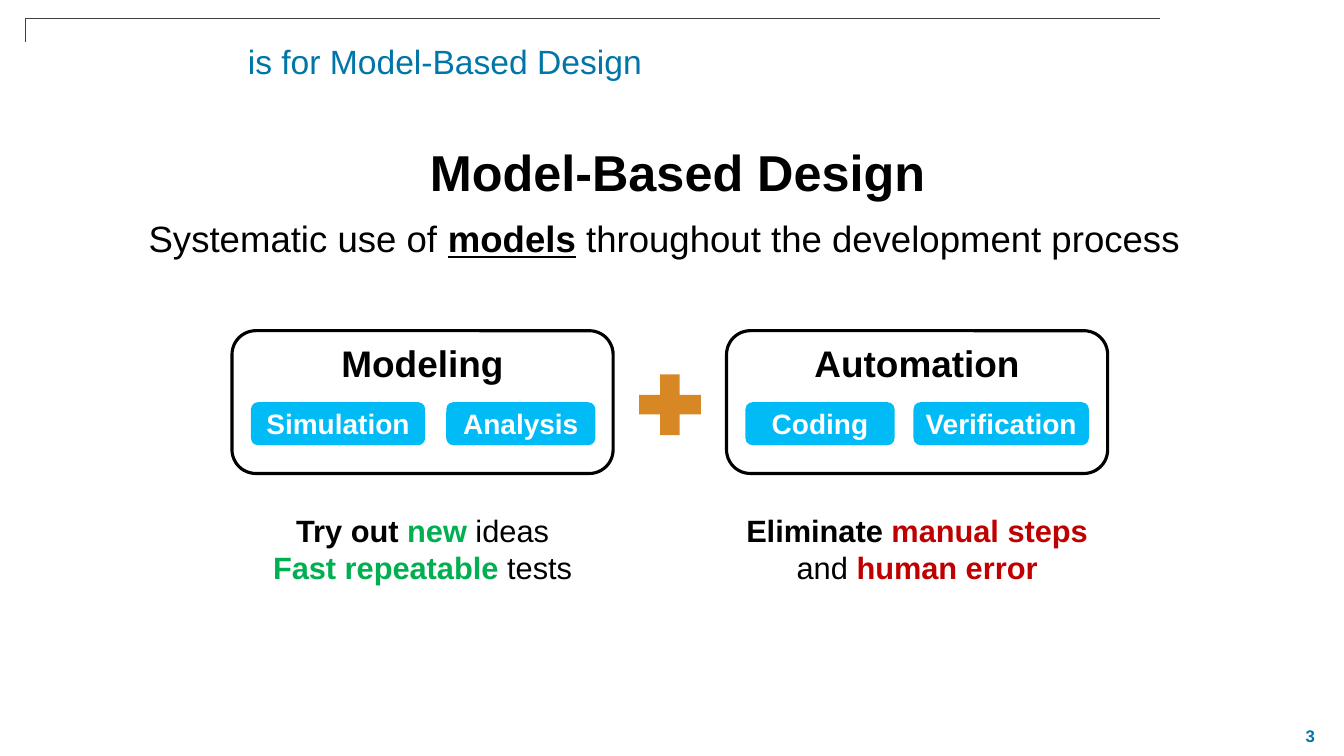
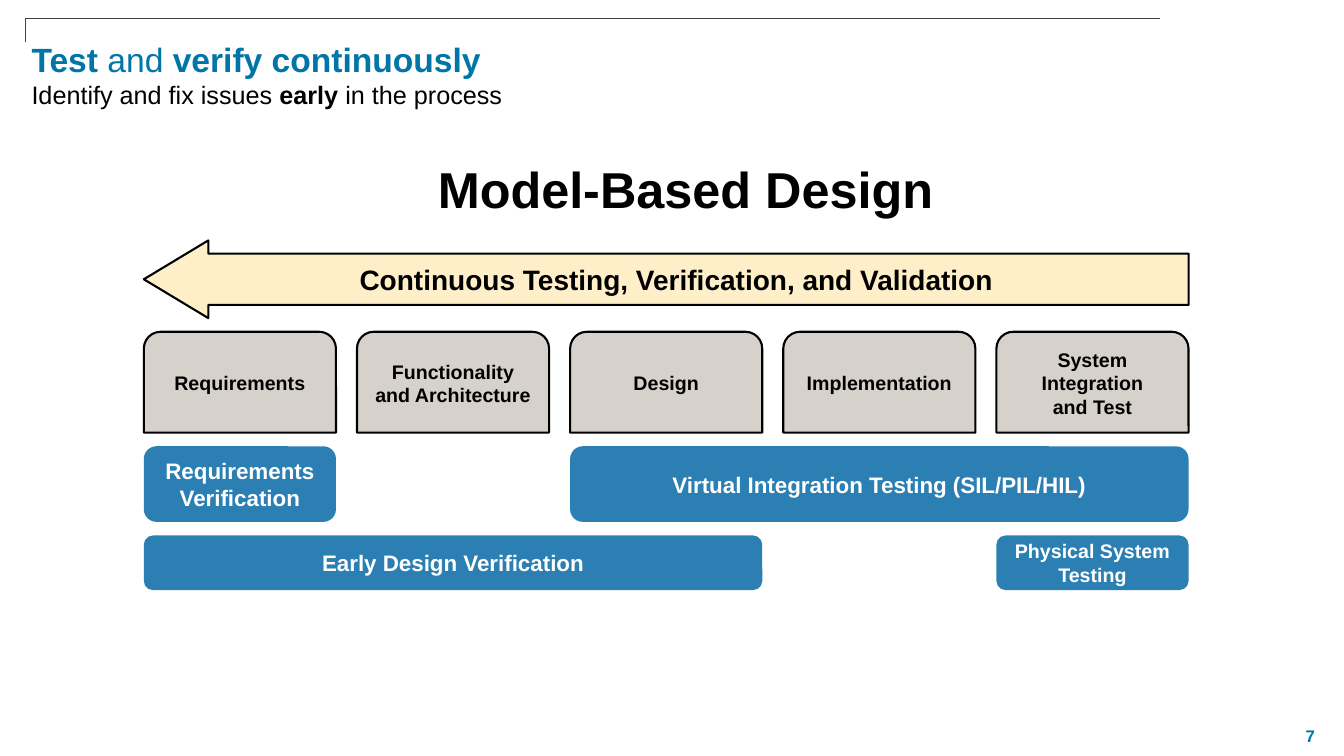
from pptx import Presentation
from pptx import util as u
from pptx.dml.color import RGBColor
from pptx.enum import shapes, text

PX = 9525  # EMU per px, 96 px to the inch
FONT = "Arial"
COLORS = {
    "title": "0076A8", "rule": "404040", "black": "000000", "white": "FFFFFF",
    "tag": "00BBF6", "plus": "D78824", "good": "00B050", "bad": "C00000",
    "stage": "D6D2CB", "arrow": "FFEFC9", "bar": "2C7FB3",
}
SHAPE = shapes.MSO_SHAPE


def write(sp, *paragraphs, size=18, color="black", bold=False, align="CENTER",
          anchor="TOP", margins=(10, 5, 10, 5)):
    """Fill sp with paragraphs: a string, or a list of (text, overrides) runs."""
    tf = sp.text_frame
    tf.word_wrap = True
    tf.auto_size = text.MSO_AUTO_SIZE.NONE
    tf.vertical_anchor = getattr(text.MSO_ANCHOR, anchor)
    tf.margin_left, tf.margin_top, tf.margin_right, tf.margin_bottom = (m * PX for m in margins)
    for i, runs in enumerate(paragraphs):
        p = tf.add_paragraph() if i else tf.paragraphs[0]
        p.alignment = getattr(text.PP_ALIGN, align)
        for words, fmt in [(runs, {})] if isinstance(runs, str) else runs:
            r = p.add_run()
            r.text = words
            r.font.name = FONT
            r.font.size = u.Pt(fmt.get("size", size))
            r.font.bold = fmt.get("bold", bold)
            r.font.underline = fmt.get("underline")
            r.font.color.rgb = RGBColor.from_string(COLORS[fmt.get("color", color)])


def add(s, kind, x, y, w, h, fill=None, line=0):
    """Add a preset shape, or a text box when kind is None."""
    box = [v * PX for v in (x, y, w, h)]
    if kind is None:
        return s.shapes.add_textbox(*box)
    sp = s.shapes.add_shape(kind, *box)
    sp.shadow.inherit = False
    if fill:
        sp.fill.solid()
        sp.fill.fore_color.rgb = RGBColor.from_string(COLORS[fill])
    else:
        sp.fill.background()
    if line:
        sp.line.width = u.Pt(line)
        sp.line.color.rgb = RGBColor.from_string(COLORS["black"])
    else:
        sp.line.fill.background()
    return sp


prs = Presentation()
prs.slide_width, prs.slide_height = 1280 * PX, 720 * PX
B = {"bold": True}

# Shared frame: title, corner rule, page number, heading
pages = [
    ("3", (226, 34, 880, 49), ["is for Model-Based Design"], (406, 133, 479, 60)),
    ("7", (20, 32, 1183, 78),
     [[("Test ", B), ("and ", {}), ("verify continuously", B)],
      [("Identify and fix issues ", {"size": 18, "color": "black"}),
       ("early ", {"size": 18, "color": "black", "bold": True}),
       ("in the process", {"size": 18, "color": "black"})]],
     (405, 150, 496, 60)),
]
slides = []
for number, title_box, title, heading_box in pages:
    s = prs.slides.add_slide(prs.slide_layouts[5])
    slides.append(s)
    sp = s.shapes.title
    sp.left, sp.top, sp.width, sp.height = (v * PX for v in title_box)
    write(sp, *title, size=24, color="title", align="LEFT")

    outline = s.shapes.build_freeform(1105, 18, scale=PX)
    outline.add_line_segments([(24, 18), (24, 40)], close=False)
    rule = outline.convert_to_shape()
    rule.shadow.inherit = False
    rule.fill.background()
    rule.line.width = u.Pt(0.75)
    rule.line.color.rgb = RGBColor.from_string(COLORS["rule"])

    write(add(s, None, 1216, 681, 64, 40), number, size=12, color="title", bold=True,
          anchor="MIDDLE")
    write(add(s, None, *heading_box), "Model-Based Design", size=36, bold=True,
          margins=(0, 1, 0, 1))

# Slide 1: modeling plus automation
s = slides[0]
write(add(s, None, 119, 201, 1028, 55),
      [("Systematic use of ", {}), ("models", {"bold": True, "underline": True}),
       (" throughout the development process", {})], size=26.1)

good = {"bold": True, "color": "good"}
bad = {"bold": True, "color": "bad"}
cards = [
    (221, "Modeling", [("Simulation", 239, 166), ("Analysis", 425, 142)],
     [[("Try out ", B), ("new", good), (" ideas", {})],
      [("Fast repeatable ", good), ("tests", {})]]),
    (692, "Automation", [("Coding", 710, 142), ("Verification", 870, 167)],
     [[("Eliminate ", B), ("manual steps", bad)],
      [("and ", {}), ("human error", bad)]]),
]
for x, name, tags, benefit in cards:
    write(add(s, SHAPE.ROUNDED_RECTANGLE, x, 315, 363, 136, line=2.25), name,
          size=26.4, bold=True, margins=(0, 3, 0, 0))
    for tag, tag_x, tag_w in tags:
        write(add(s, SHAPE.ROUNDED_RECTANGLE, tag_x, 383, tag_w, 41, "tag"), tag,
              size=20, color="white", bold=True, anchor="MIDDLE", margins=(0, 0, 0, 0))
    write(add(s, None, x, 482, 363, 81), *benefit, size=22)
add(s, SHAPE.MATH_PLUS, 598, 346, 80, 79, "plus")

# Slide 2: stages on a five-column grid
s = slides[1]
LEFT, COL, PITCH = 137, 183, 203
stages = [["Requirements"], ["Functionality and Architecture"], ["Design"],
          ["Implementation"], ["System Integration", "and Test"]]
span = PITCH * (len(stages) - 1) + COL
arrow = add(s, SHAPE.LEFT_ARROW, LEFT, 229, span, 74, "arrow", 1.5)
arrow.adjustments[0], arrow.adjustments[1] = 0.66, 0.83
write(arrow, "Continuous Testing, Verification, and Validation", size=20, bold=True,
      anchor="MIDDLE", margins=(0, 0, 21, 0))

for i, stage in enumerate(stages):
    write(add(s, SHAPE.ROUND_2_SAME_RECTANGLE, LEFT + i * PITCH, 316, COL, 96, "stage", 1.5),
          *stage, size=14, bold=True, anchor="MIDDLE", margins=(10, 2, 10, 5))

bars = [  # first column, columns, top, height, size, label
    (0, 1, 425, 72, 16, "Requirements Verification"),
    (2, 3, 425, 72, 16, "Virtual Integration Testing (SIL/PIL/HIL)"),
    (0, 3, 510, 52, 16, "Early Design Verification"),
    (4, 1, 510, 52, 14, "Physical System Testing"),
]
for first, count, y, h, size, label in bars:
    write(add(s, SHAPE.ROUNDED_RECTANGLE, LEFT + first * PITCH, y,
              PITCH * (count - 1) + COL, h, "bar"),
          label, size=size, color="white", bold=True, anchor="MIDDLE")

prs.save("out.pptx")
